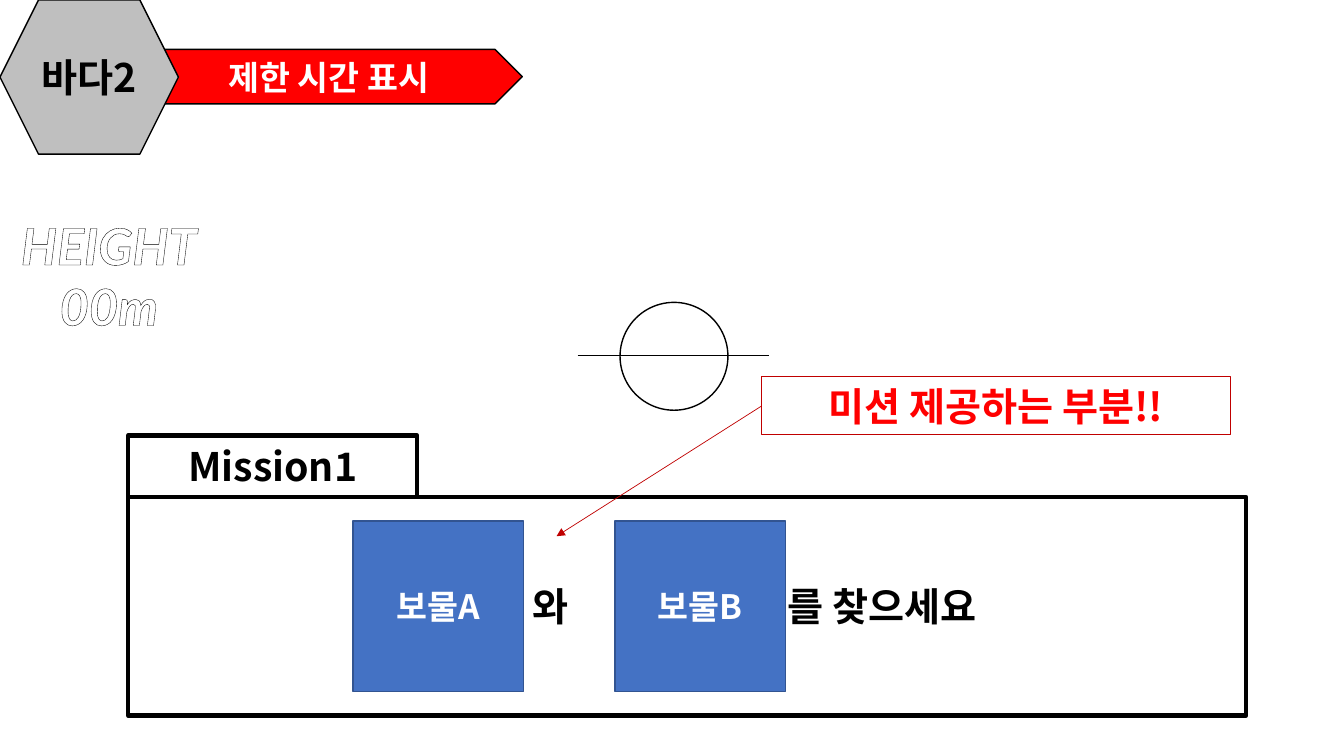
from lxml import etree
from pptx import Presentation
from pptx.dml.color import RGBColor
from pptx.enum.shapes import MSO_CONNECTOR, MSO_SHAPE
from pptx.enum.text import MSO_ANCHOR, MSO_AUTO_SIZE, PP_ALIGN
from pptx.oxml.ns import qn
from pptx.util import Inches, Pt

BLACK = RGBColor(0x00, 0x00, 0x00)
WHITE = RGBColor(0xFF, 0xFF, 0xFF)
RED = RGBColor(0xFF, 0x00, 0x00)
DARK_RED = RGBColor(0xC0, 0x00, 0x00)
GREY = RGBColor(0xBF, 0xBF, 0xBF)
BLUE = RGBColor(0x44, 0x72, 0xC4)
NAVY = RGBColor(0x32, 0x54, 0x91)

CHEVRON, HEXAGON = MSO_SHAPE.PENTAGON, MSO_SHAPE.HEXAGON
CHEVRON = MSO_SHAPE.CHEVRON
OVAL, RECT = MSO_SHAPE.OVAL, MSO_SHAPE.RECTANGLE
STRAIGHT = MSO_CONNECTOR.STRAIGHT
CENTER, LEFT = PP_ALIGN.CENTER, PP_ALIGN.LEFT
MIDDLE, TOP = MSO_ANCHOR.MIDDLE, MSO_ANCHOR.TOP
GROW = MSO_AUTO_SIZE.SHAPE_TO_FIT_TEXT
KOREAN, LATIN = "Noto Sans CJK KR", "Lato"


def write(sp, lines, size, color, align=CENTER, anchor=MIDDLE, font=KOREAN, **extra):
    tf = sp.text_frame
    tf.word_wrap = True
    tf.vertical_anchor = anchor
    fmt = {"size": Pt(size), "bold": True, "name": font, **extra}
    for i, line in enumerate(lines):
        p = tf.add_paragraph() if i else tf.paragraphs[0]
        p.alignment = align
        r = p.add_run()
        r.text = line
        r.font.color.rgb = color
        for key, value in fmt.items():
            setattr(r.font, key, value)
        etree.SubElement(r.font._element, qn("a:ea"), typeface=font)


def add_box(s, kind, at, fill, line, width):
    sp = s.shapes.add_shape(kind, *map(Inches, at))
    sp.shadow.inherit = False
    if fill is None:
        sp.fill.background()
    else:
        sp.fill.solid()
        sp.fill.fore_color.rgb = fill
    sp.line.color.rgb = line
    sp.line.width = Pt(width)
    return sp


def add_text(s, at, lines, size, color, **fmt):
    sp = s.shapes.add_textbox(*map(Inches, at))
    write(sp, lines, size, color, anchor=TOP, **fmt)
    sp.text_frame.auto_size = GROW
    return sp


def add_line(s, start, end, color, arrow=False):
    c = s.shapes.add_connector(STRAIGHT, *map(Inches, start + end))
    c.line.color.rgb = color
    c.line.width = Pt(0.5)
    if arrow:
        etree.SubElement(c.line._get_or_add_ln(), qn("a:tailEnd"), type="triangle")
    etree.SubElement(c._element.spPr, qn("a:effectLst"))


def outline_text(sp, color, width):
    for p in sp.text_frame.paragraphs:
        for r in p.runs:
            ln = etree.Element(qn("a:ln"), w=str(Pt(width)))
            fill = etree.SubElement(ln, qn("a:solidFill"))
            etree.SubElement(fill, qn("a:srgbClr"), val=str(color))
            r.font._element.insert(0, ln)


def set_tab(p, pos):
    tabs = etree.SubElement(p._p.get_or_add_pPr(), qn("a:tabLst"))
    etree.SubElement(tabs, qn("a:tab"), pos=str(Inches(pos)), algn="l")


def add_status(s):
    timer = add_box(s, CHEVRON, (1.34, 0.49, 3.84, 0.54), RED, BLACK, 1)
    write(timer, ["제한 시간 표시"], 24, WHITE)
    stage = add_box(s, HEXAGON, (0, 0, 1.77, 1.53), GREY, BLACK, 1)
    write(stage, ["바다2"], 28, BLACK)
    height = add_text(s, (0, 2.08, 2.16, 1.31), ["HEIGHT", "00m"], 36, WHITE,
                      font=LATIN, italic=True)
    outline_text(height, BLACK, 0.75)


def add_aim(s):
    add_box(s, OVAL, (6.15, 3, 1.07, 1.07), WHITE, BLACK, 1)
    add_line(s, (5.73, 3.53), (7.63, 3.53), BLACK)


def add_mission(s):
    add_box(s, RECT, (1.27, 4.93, 11.09, 2.17), WHITE, BLACK, 3)
    tab = add_box(s, RECT, (1.27, 4.32, 2.87, 0.61), WHITE, BLACK, 3)
    write(tab, ["Mission1"], 28, BLACK)
    task = add_text(s, (5.18, 5.73, 5.54, 0.57), ["와\t를 찾으세요"], 28, BLACK, align=LEFT)
    set_tab(task.text_frame.paragraphs[0], 2.53)
    for x, name in ((3.5, "보물A"), (6.1, "보물B")):
        treasure = add_box(s, RECT, (x, 5.17, 1.69, 1.69), BLUE, NAVY, 1)
        write(treasure, [name], 24, WHITE)


def add_callout(s):
    note = add_box(s, RECT, (7.55, 3.74, 4.65, 0.57), None, DARK_RED, 0.75)
    write(note, ["미션 제공하는 부분!!"], 28, RED, anchor=TOP)
    note.text_frame.auto_size = GROW
    add_line(s, (7.55, 4.03), (5.52, 5.32), DARK_RED, arrow=True)


def main():
    prs = Presentation()
    prs.slide_width, prs.slide_height = Inches(13.33), Inches(7.5)
    s = prs.slides.add_slide(prs.slide_layouts[6])
    add_status(s)
    add_aim(s)
    add_mission(s)
    add_callout(s)
    prs.save("out.pptx")


main()
